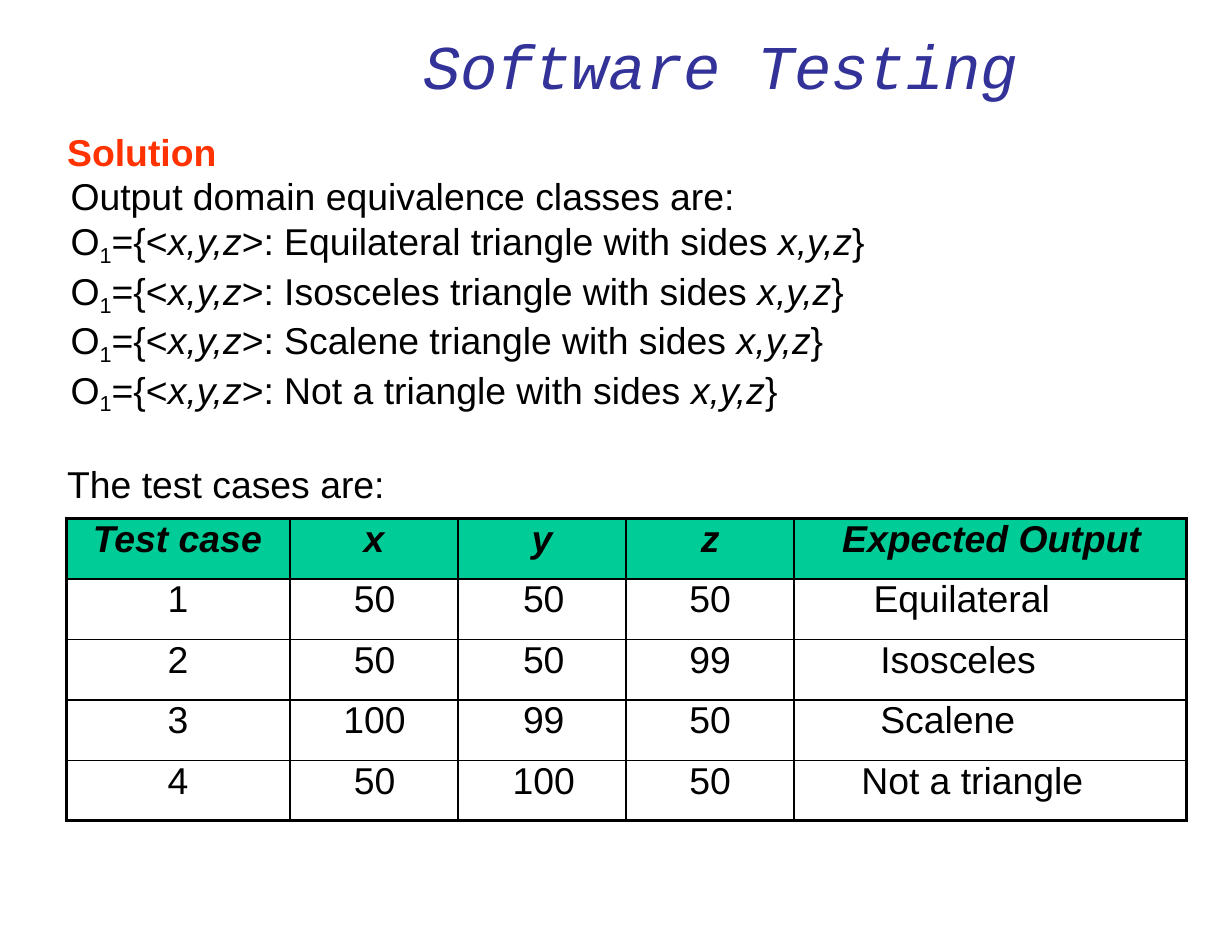
from dataclasses import dataclass

from lxml import etree
from pptx import Presentation
from pptx.dml.color import RGBColor
from pptx.enum import text
from pptx.oxml.ns import qn
from pptx.util import Inches, Pt


@dataclass(frozen=True)
class Theme:
    title_font: str = "Courier New"
    body_font: str = "Arial"
    title_size: float = 40
    body_size: float = 24
    title: str = "323299"
    accent: str = "FF3200"
    ink: str = "000000"
    header: str = "00CC98"
    outer_line: float = 2.25
    inner_line: float = 1


THEME = Theme()

TITLE = "Software Testing"
HEADING = "Solution"
INTRO = "Output domain equivalence classes are:"
SIDES = "x,y,z"
CLASSES = ["Equilateral", "Isosceles", "Scalene", "Not a"]
TABLE_INTRO = "The test cases are:"

HEADER = ["Test case", "x", "y", "z", "Expected Output"]
CASES = [
    ("1", "50", "50", "50", "Equilateral"),
    ("2", "50", "50", "99", "Isosceles"),
    ("3", "100", "99", "50", "Scalene"),
    ("4", "50", "100", "50", "Not a triangle"),
]
LEFT = 0.59
COL_WIDTHS = [2, 1.5, 1.5, 1.5, 3.5]
ROW_HEIGHT = 0.54
HEADER_INDENTS = [0.24, 0, 0, 0, 0.43]
CASE_INDENTS = [0, 0.01, 0.03, 0]
OUTPUT_INDENTS = [0.71, 0.77, 0.77, 0.6]


def add_run(p, words, color=THEME.ink, size=THEME.body_size,
            font=THEME.body_font, bold=False, italic=False, **attrs):
    r = p.add_run()
    r.text = words
    r.font.name = font
    r.font.size = Pt(size)
    r.font.bold = bold
    r.font.italic = italic
    r.font.color.rgb = RGBColor.from_string(color)
    for name, value in attrs.items():
        r.font._element.set(name, str(value))


def add_sides(p):
    for symbol in SIDES:
        add_run(p, symbol, italic=True)


def indent(p, inches):
    pPr = p._p.get_or_add_pPr()
    pPr.set("marL", str(Inches(inches)))
    pPr.set("indent", "0")


def add_text_box(s, left, top, width, height, inset_top=0):
    sp = s.shapes.add_textbox(*map(Inches, (left, top, width, height)))
    tf = sp.text_frame
    tf.word_wrap = True
    tf.margin_left = tf.margin_right = tf.margin_bottom = 0
    tf.margin_top = Inches(inset_top)
    return tf


def add_title(s):
    p = add_text_box(s, 0.88, 0, 9.16, 0.91, 0.24).paragraphs[0]
    indent(p, 2.9)
    add_run(p, TITLE, THEME.title, THEME.title_size, THEME.title_font,
            italic=True, spc=-10)


def add_body(s):
    tf = add_text_box(s, LEFT, 1.15, 9.92, 3.23)

    def paragraph(left, first=False):
        p = tf.paragraphs[0] if first else tf.add_paragraph()
        indent(p, left)
        return p

    add_run(paragraph(0.01, True), HEADING, THEME.accent, bold=True)
    add_run(paragraph(0.04), INTRO)
    for kind in CLASSES:
        p = paragraph(0.04)
        add_run(p, "O")
        add_run(p, "1", baseline=-21000)
        add_run(p, "={<")
        add_sides(p)
        add_run(p, f">: {kind} triangle with sides ")
        add_sides(p)
        add_run(p, "}")
    p = paragraph(0.01)
    p.space_before = Pt(29)
    add_run(p, TABLE_INTRO)


def set_borders(cell, outer_edges):
    tcPr = cell._tc.get_or_add_tcPr()
    for i, (side, outer) in enumerate(outer_edges.items()):
        width = THEME.outer_line if outer else THEME.inner_line
        ln = etree.Element(qn(f"a:ln{side}"), w=str(Pt(width)))
        fill = etree.SubElement(ln, qn("a:solidFill"))
        etree.SubElement(fill, qn("a:srgbClr"), val=THEME.ink)
        tcPr.insert(i, ln)


def add_case_table(s):
    rows = [HEADER, *CASES]
    indents = [HEADER_INDENTS] + [CASE_INDENTS + [x] for x in OUTPUT_INDENTS]
    last_row, last_col = len(rows) - 1, len(HEADER) - 1
    table = s.shapes.add_table(
        len(rows), len(HEADER), Inches(LEFT), Inches(4.63),
        Inches(sum(COL_WIDTHS)), Inches(ROW_HEIGHT * len(rows))).table
    table.first_row = table.horz_banding = False
    for col, width in zip(table.columns, COL_WIDTHS):
        col.width = Inches(width)
    for i, row in enumerate(rows):
        table.rows[i].height = Inches(ROW_HEIGHT)
        is_header = i == 0
        for j, words in enumerate(row):
            cell = table.cell(i, j)
            cell.margin_left = cell.margin_right = 0
            cell.margin_top = cell.margin_bottom = 0
            if is_header:
                cell.fill.solid()
                cell.fill.fore_color.rgb = RGBColor.from_string(THEME.header)
            else:
                cell.fill.background()
            set_borders(cell, {"L": j == 0, "R": j == last_col,
                               "T": i == 0, "B": i == last_row})
            p = cell.text_frame.paragraphs[0]
            left_aligned = j == last_col or (is_header and j == 0)
            p.alignment = (text.PP_ALIGN.LEFT if left_aligned
                           else text.PP_ALIGN.CENTER)
            indent(p, indents[i][j])
            add_run(p, words, bold=is_header, italic=is_header)


def main():
    prs = Presentation()
    prs.slide_width, prs.slide_height = Inches(11), Inches(8.5)
    s = prs.slides.add_slide(prs.slide_layouts[6])
    add_body(s)
    add_title(s)
    add_case_table(s)
    prs.save("out.pptx")


if __name__ == "__main__":
    main()
